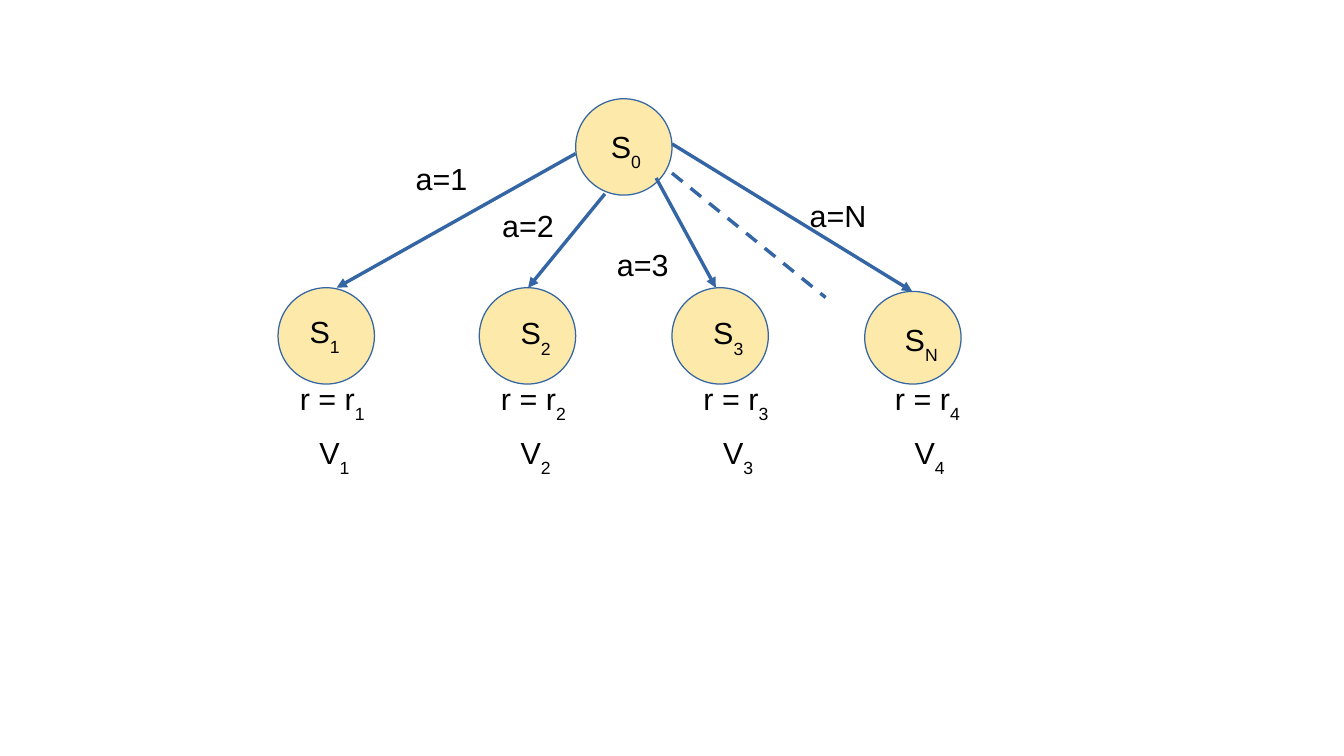
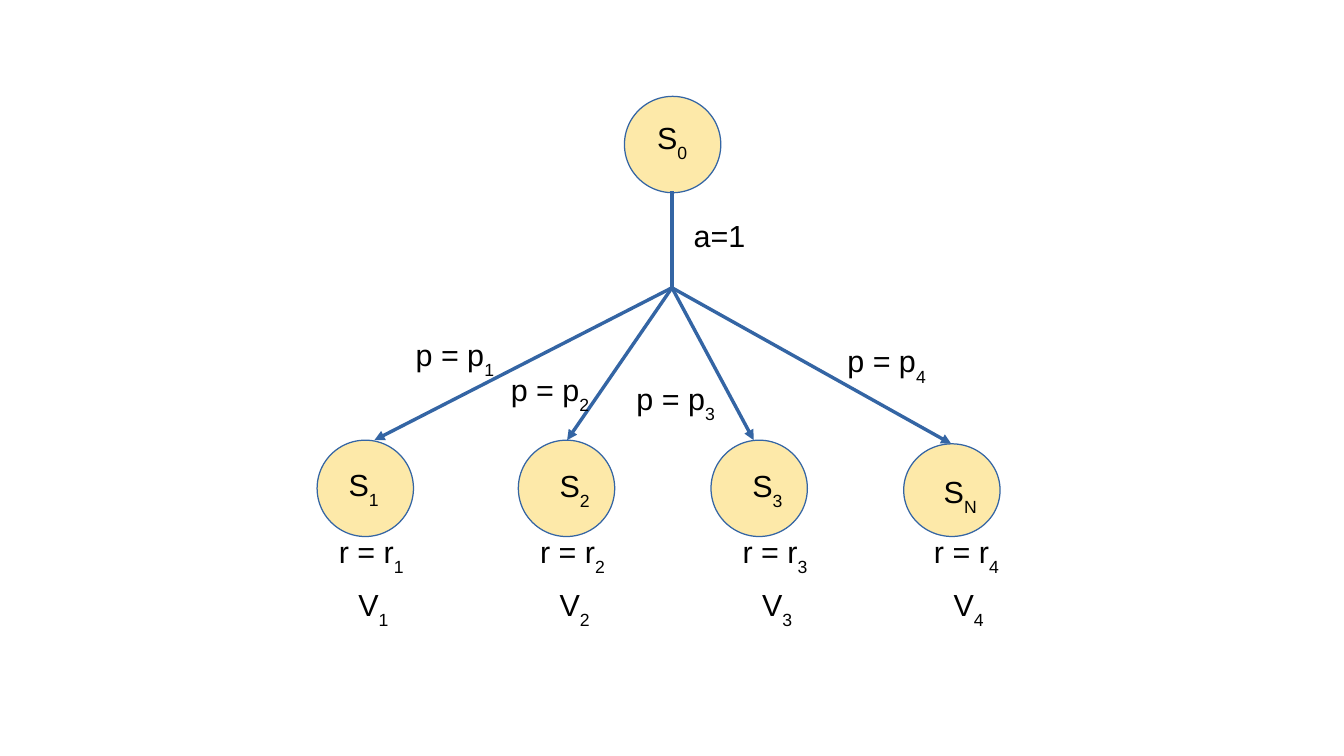
import lxml.etree
import pptx
import pptx.dml.color
import pptx.enum.dml
import pptx.enum.shapes
import pptx.enum.text
import pptx.oxml.ns
import pptx.util

Inches = pptx.util.Inches
STATE_FILL = pptx.dml.color.RGBColor(0xFD, 0xE9, 0xA9)
EDGE = pptx.dml.color.RGBColor(0x34, 0x65, 0xA4)
INK = pptx.dml.color.RGBColor(0x00, 0x00, 0x00)

FONT = {"name": "Arial", "size": pptx.util.Pt(18)}
FRAME = {
    "word_wrap": True,
    "auto_size": pptx.enum.text.MSO_AUTO_SIZE.SHAPE_TO_FIT_TEXT,
    "vertical_anchor": pptx.enum.text.MSO_ANCHOR.TOP,
    "margin_left": Inches(0.1),
    "margin_right": Inches(0.1),
    "margin_top": Inches(0.05),
    "margin_bottom": Inches(0.05),
}
DIAMETER = 0.79
SUCCESSORS = [
    {"name": "1", "circle": (0, 0), "state": (0.16, 0.16), "reward": 0.08},
    {"name": "2", "circle": (1.65, 0), "state": (1.89, 0.17), "reward": 1.73},
    {"name": "3", "circle": (3.23, 0), "state": (3.47, 0.17), "reward": 3.39},
    {"name": "N", "circle": (4.81, 0.03), "state": (5.04, 0.22), "reward": 4.96},
]


def apply_format(target, values):
    for attribute, value in values.items():
        setattr(target, attribute, value)


class TreeDeck:
    def __init__(self, width, height):
        self.presentation = pptx.Presentation()
        self.presentation.slide_width = Inches(width)
        self.presentation.slide_height = Inches(height)
        self.slide = None

    def new_slide(self):
        blank = self.presentation.slide_layouts[6]
        self.slide = self.presentation.slides.add_slide(blank)

    def outline(self, line):
        line.color.rgb = EDGE
        line.width = pptx.util.Pt(0)

    def circle(self, left, top, height=DIAMETER):
        state = self.slide.shapes.add_shape(
            pptx.enum.shapes.MSO_SHAPE.OVAL,
            Inches(left), Inches(top), Inches(DIAMETER), Inches(height))
        state.shadow.inherit = False
        state.fill.solid()
        state.fill.fore_color.rgb = STATE_FILL
        self.outline(state.line)

    def label(self, left, top, text, subscript="", width=0.94):
        box = self.slide.shapes.add_textbox(
            Inches(left), Inches(top), Inches(width), Inches(0.44))
        apply_format(box.text_frame, FRAME)
        paragraph = box.text_frame.paragraphs[0]
        for part, baseline in ((text, None), (subscript, "-33000")):
            if not part:
                continue
            run = paragraph.add_run()
            run.text = part
            apply_format(run.font, FONT)
            run.font.color.rgb = INK
            if baseline:
                run._r.get_or_add_rPr().set("baseline", baseline)

    def edge(self, start, end, arrow=True, dash=None):
        edge = self.slide.shapes.add_connector(
            pptx.enum.shapes.MSO_CONNECTOR.STRAIGHT,
            *(Inches(value) for value in (*start, *end)))
        self.outline(edge.line)
        if dash:
            edge.line.dash_style = dash
        if arrow:
            lxml.etree.SubElement(
                edge.line._get_or_add_ln(),
                pptx.oxml.ns.qn("a:tailEnd"), type="triangle")
        lxml.etree.SubElement(
            edge._element.spPr, pptx.oxml.ns.qn("a:effectLst"))

    def successors(self, left, top):
        for number, successor in enumerate(SUCCESSORS, 1):
            x, y = successor["circle"]
            self.circle(left + x, top + y, DIAMETER - y)
            x, y = successor["state"]
            self.label(left + x, top + y, "S", successor["name"], 0.5)
            x = left + successor["reward"]
            self.label(x, top + 0.71, "r = r", str(number))
            self.label(x + 0.16, top + 1.15, "V", str(number), 0.79)


def action_tree(deck):
    deck.new_slide()
    deck.circle(4.72, 0.81)
    deck.label(4.91, 1, "S", "0", 0.5)
    deck.successors(2.28, 2.36)
    for action, start, end, place in (
        ("1", (4.72, 1.26), (2.76, 2.36), (3.31, 1.26)),
        ("2", (4.96, 1.59), (4.33, 2.36), (4.02, 1.65)),
        ("3", (5.38, 1.46), (5.87, 2.36), (4.96, 1.97)),
        ("N", (5.51, 1.18), (7.48, 2.39), (6.54, 1.57)),
    ):
        deck.edge(start, end)
        deck.label(*place, f"a={action}")
    deck.edge((5.51, 1.42), (6.77, 2.44), arrow=False,
              dash=pptx.enum.dml.MSO_LINE.DASH)


def probability_tree(deck):
    branching = (5.51, 2.36)
    deck.new_slide()
    deck.circle(5.12, 0.79)
    deck.label(5.29, 0.93, "S", "0", 0.5)
    deck.edge(branching, (5.51, 1.57), arrow=False)
    deck.label(5.59, 1.73, "a=1")
    deck.successors(2.6, 3.61)
    for number, (end, place) in enumerate((
        ((3.07, 3.61), (3.31, 2.71)),
        ((4.65, 3.61), (4.09, 2.99)),
        ((6.18, 3.61), (5.12, 3.07)),
        ((7.8, 3.64), (6.85, 2.76)),
    ), 1):
        deck.edge(branching, end)
        deck.label(*place, "p = p", str(number))


def main():
    deck = TreeDeck(11.02, 6.2)
    action_tree(deck)
    probability_tree(deck)
    deck.presentation.save("out.pptx")


if __name__ == "__main__":
    main()
